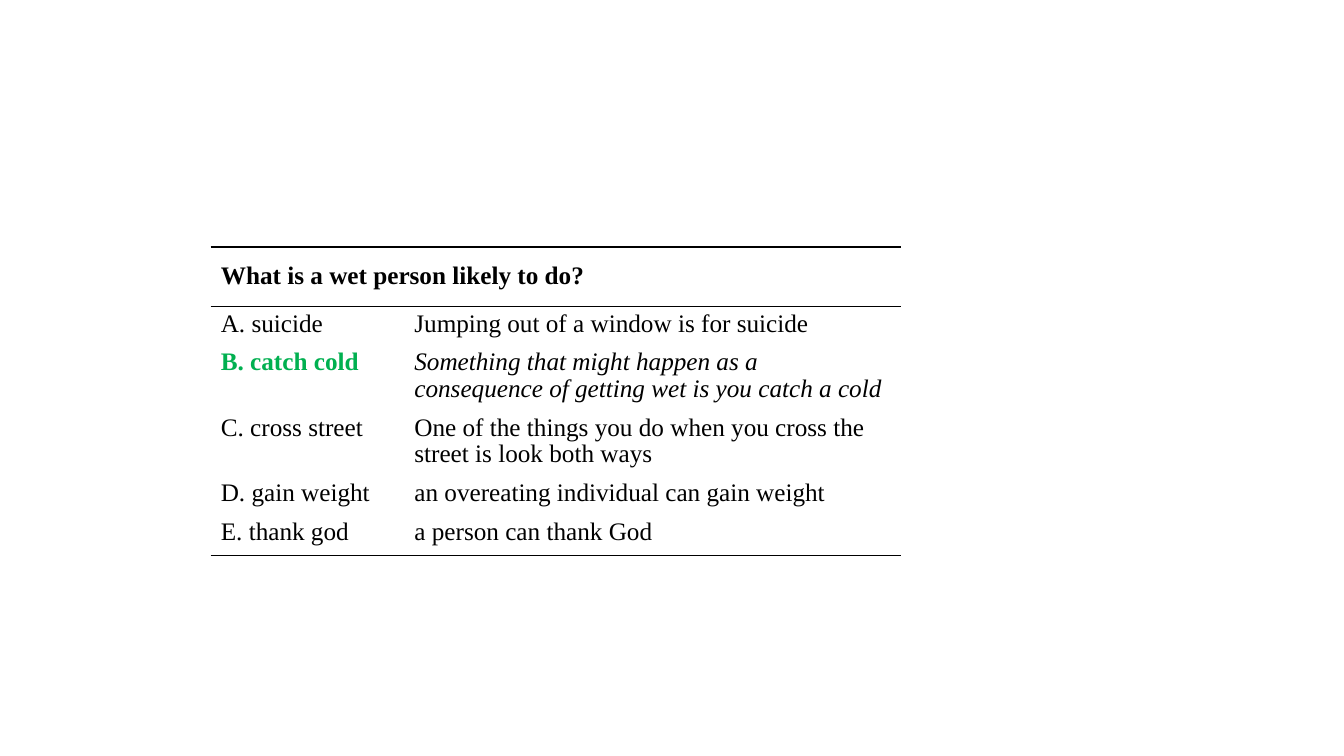
from lxml import etree
from pptx import Presentation
from pptx.dml.color import RGBColor
from pptx.enum.text import MSO_ANCHOR
from pptx.oxml.ns import qn
from pptx.util import Inches, Pt

BLACK = RGBColor(0x00, 0x00, 0x00)
GREEN = RGBColor(0x00, 0xB0, 0x50)
MIDDLE, TOP = MSO_ANCHOR.MIDDLE, MSO_ANCHOR.TOP

SLIDE_WIDTH, SLIDE_HEIGHT = Inches(13.33), Inches(7.5)
TABLE_LEFT, TABLE_TOP = 2.09 / 13.33, 2.45 / 7.5  # shares of the slide
COLUMN_WIDTHS = [1.92, 4.93]
ROW_HEIGHTS = [0.59, 0.38, 0.65, 0.65, 0.38, 0.41]

QUESTION = "What is a wet person likely to do?"
CORRECT = "B. catch cold"
ANSWERS = [
    ("A. suicide", "Jumping out of a window is for suicide"),
    (CORRECT, "Something that might happen as a consequence of getting wet is you catch a cold"),
    ("C. cross street", "One of the things you do when you cross the street is look both ways"),
    ("D. gain weight", "an overeating individual can gain weight"),
    ("E. thank god", "a person can thank God"),
]


class SlideBuilder:
    """Holds the text style and the current slide."""

    font_name = "Times New Roman"
    font_size = Pt(18)
    line_spacing = 0.95
    rule_width = Pt(1)

    def __init__(self, presentation):
        self.slide = presentation.slides.add_slide(presentation.slide_layouts[6])

    def table(self, left, top, column_widths, row_heights):
        shape = self.slide.shapes.add_table(
            len(row_heights), len(column_widths),
            round(left * SLIDE_WIDTH), round(top * SLIDE_HEIGHT),
            Inches(sum(column_widths)), Inches(sum(row_heights)))
        table = shape.table
        table.first_row = table.horz_banding = False
        for column, width in zip(table.columns, column_widths):
            column.width = Inches(width)
        for row, height in zip(table.rows, row_heights):
            row.height = Inches(height)
        return table

    def borders(self, cell, ruled_sides):
        properties = cell._tc.get_or_add_tcPr()
        for side in "LRTB":
            line = etree.SubElement(properties, qn(f"a:ln{side}"), w=str(self.rule_width))
            if side in ruled_sides:
                fill = etree.SubElement(line, qn("a:solidFill"))
                etree.SubElement(fill, qn("a:srgbClr"), val=str(BLACK))
            else:
                etree.SubElement(line, qn("a:noFill"))
        cell.fill.background()

    def text(self, cell, text, color=BLACK, bold=False, italic=False, anchor=TOP):
        cell.text = text
        cell.vertical_anchor = anchor
        paragraph = cell.text_frame.paragraphs[0]
        paragraph.line_spacing = self.line_spacing
        font = paragraph.font
        font.name, font.size = self.font_name, self.font_size
        font.bold, font.italic = bold, italic
        font.color.rgb = color


def main():
    presentation = Presentation()
    presentation.slide_width, presentation.slide_height = SLIDE_WIDTH, SLIDE_HEIGHT
    builder = SlideBuilder(presentation)
    table = builder.table(TABLE_LEFT, TABLE_TOP, COLUMN_WIDTHS, ROW_HEIGHTS)

    # Rules around the question and below the last answer
    ruled_sides = {0: "TB", 1: "T", len(ANSWERS): "B"}
    for index in range(len(ROW_HEIGHTS)):
        for column in range(len(COLUMN_WIDTHS)):
            builder.borders(table.cell(index, column), ruled_sides.get(index, ""))

    # Question across both columns
    table.cell(0, 0).merge(table.cell(0, 1))
    builder.text(table.cell(0, 0), QUESTION, bold=True, anchor=MIDDLE)

    # Answers with their explanations
    for index, (answer, explanation) in enumerate(ANSWERS, start=1):
        correct = answer == CORRECT
        builder.text(table.cell(index, 0), answer, GREEN if correct else BLACK, bold=correct)
        builder.text(table.cell(index, 1), explanation, italic=correct)

    presentation.save("out.pptx")


if __name__ == "__main__":
    main()
